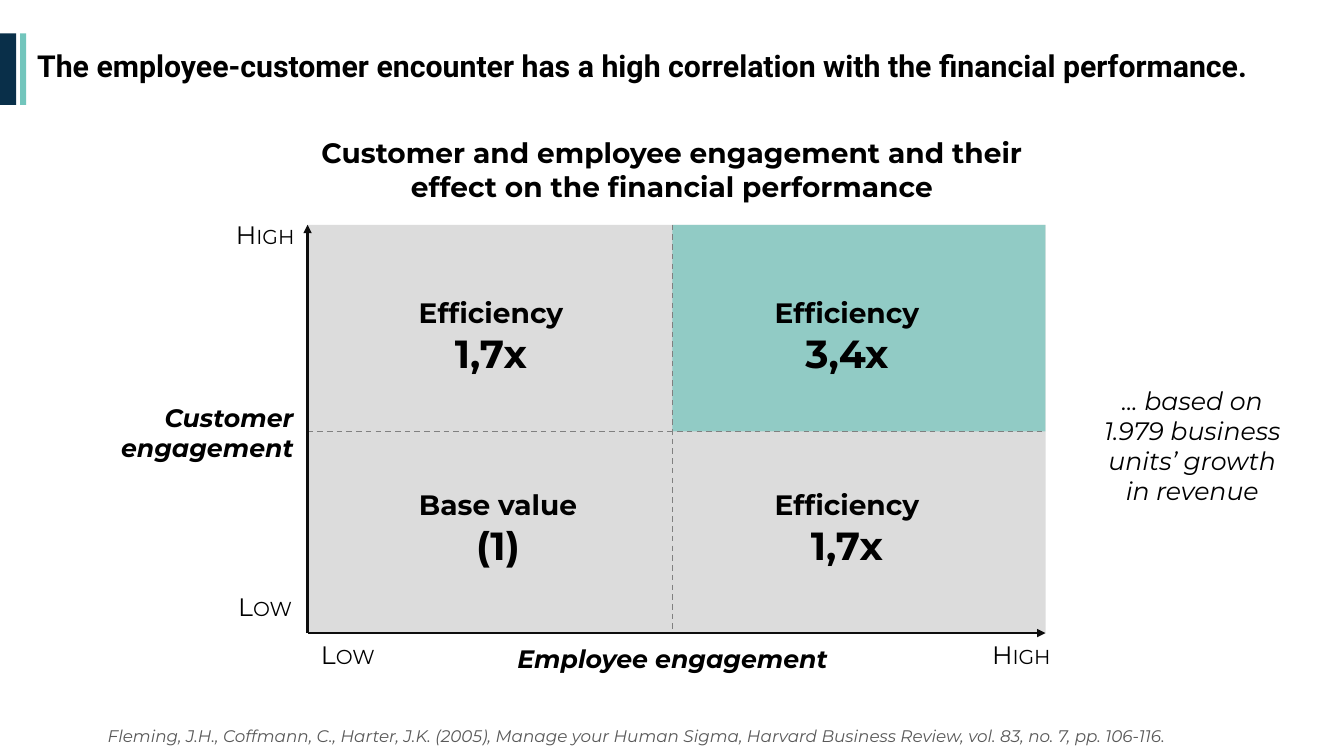
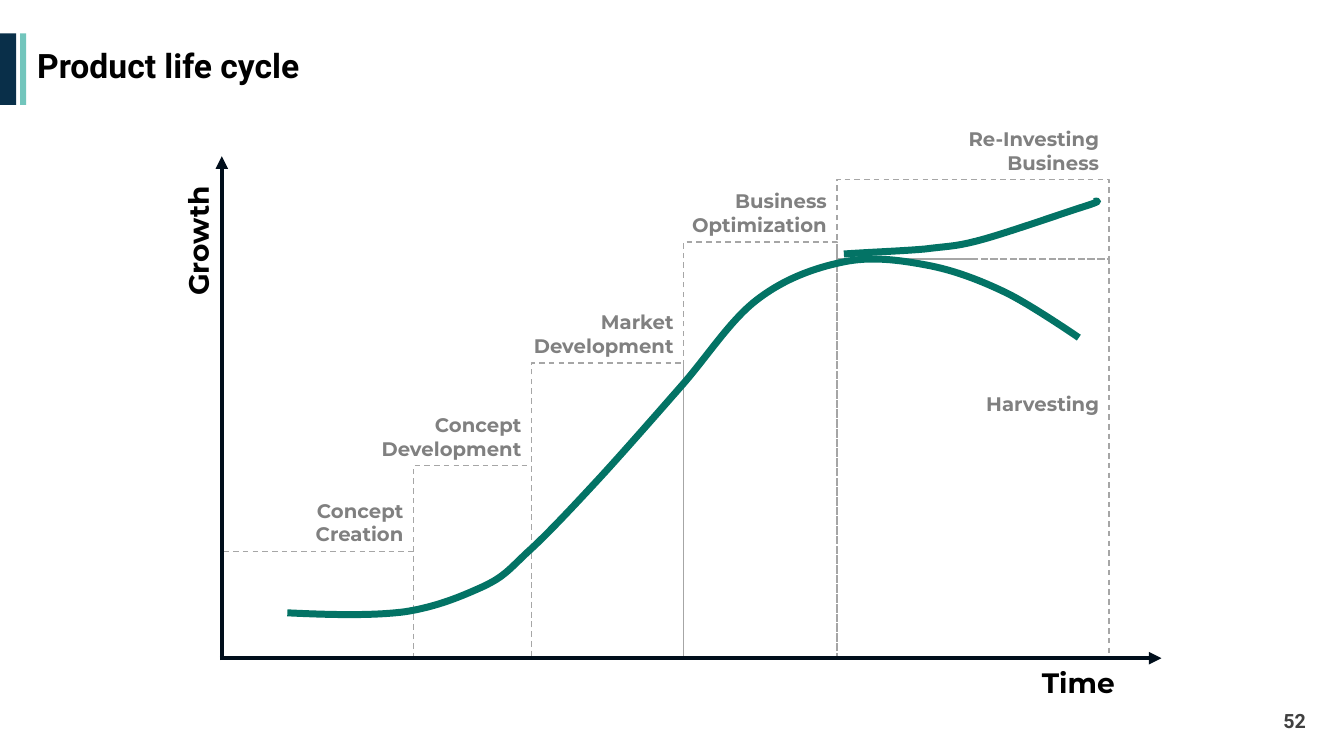
from dataclasses import dataclass
from typing import NamedTuple, Optional

import lxml.etree
import pptx
import pptx.dml.color
import pptx.enum.dml
import pptx.enum.shapes
import pptx.enum.text
import pptx.oxml.ns
import pptx.util

Inches = pptx.util.Inches
Pt = pptx.util.Pt
qn = pptx.oxml.ns.qn
Align = pptx.enum.text.PP_ALIGN
Anchor = pptx.enum.text.MSO_ANCHOR


@dataclass(frozen=True)
class Theme:
    heading_font: str = "Roboto"
    body_font: str = "Montserrat"
    black: str = "000000"
    navy: str = "092F49"
    teal: str = "72C5BC"
    plot_gray: str = "DCDCDC"
    divider: str = "808080"
    matrix_axis: str = "0D0D0D"
    cycle_axis: str = "000E1B"
    phase_line: str = "A6A6A6"
    phase_text: str = "808080"
    curve: str = "037365"
    source: str = "595959"
    page_number: str = "404040"
    title_size: float = 24
    long_title_size: float = 21.6
    figure_size: float = 28
    heading_size: float = 20
    label_size: float = 18
    small_size: float = 14
    source_size: float = 12


THEME = Theme()


class Box(NamedTuple):
    left: float
    top: float
    width: float
    height: float

    def lengths(self) -> list:
        return [Inches(value) for value in self]


class Point(NamedTuple):
    x: float
    y: float


@dataclass(frozen=True)
class Style:
    size: float
    color: str = THEME.black
    font: str = THEME.body_font
    bold: bool = False
    italic: bool = False
    small_caps: bool = False


@dataclass(frozen=True)
class Stroke:
    color: str
    width: float
    dashed: bool = False
    arrow: bool = False


class Label(NamedTuple):
    text: str
    box: Box
    style: Style
    align: Align = Align.CENTER


class Quadrant(NamedTuple):
    caption: str
    figure: str
    left: float
    top: float


class Phase(NamedTuple):
    lines: tuple
    left: float
    right: float
    top: float
    bottom: float


HEADING = Style(THEME.heading_size, bold=True)
FIGURE = Style(THEME.figure_size, bold=True)
AXIS_END = Style(THEME.label_size, small_caps=True)
AXIS_NAME = Style(THEME.label_size, bold=True, italic=True)
REMARK = Style(THEME.label_size, italic=True)
SOURCE = Style(THEME.source_size, THEME.source, italic=True)
PHASE = Style(THEME.small_size, THEME.phase_text, bold=True)
PAGE_NUMBER = Style(THEME.small_size, THEME.page_number, THEME.heading_font, bold=True)


def rgb(color: str) -> pptx.dml.color.RGBColor:
    return pptx.dml.color.RGBColor.from_string(color)


def apply_stroke(line, stroke: Stroke) -> None:
    line.color.rgb = rgb(stroke.color)
    line.width = Pt(stroke.width)
    if stroke.dashed:
        line.dash_style = pptx.enum.dml.MSO_LINE.DASH


def add_rect(slide, box: Box, fill: Optional[str] = None,
             stroke: Optional[Stroke] = None, opacity: int = 100):
    rect = slide.shapes.add_shape(pptx.enum.shapes.MSO_SHAPE.RECTANGLE, *box.lengths())
    rect.shadow.inherit = False
    if fill:
        rect.fill.solid()
        rect.fill.fore_color.rgb = rgb(fill)
        if opacity < 100:
            tint = rect._element.spPr.find(".//" + qn("a:srgbClr"))
            lxml.etree.SubElement(tint, qn("a:alpha"), val=str(opacity * 1000))
    else:
        rect.fill.background()
    if stroke:
        apply_stroke(rect.line, stroke)
    else:
        rect.line.fill.background()
    return rect


def add_text(slide, box: Box, lines: list, align: Align = Align.CENTER,
             anchor: Anchor = Anchor.TOP):
    holder = slide.shapes.add_textbox(*box.lengths())
    frame = holder.text_frame
    frame.word_wrap = True
    frame.vertical_anchor = anchor
    for index, (text, style) in enumerate(lines):
        paragraph = frame.add_paragraph() if index else frame.paragraphs[0]
        paragraph.alignment = align
        run = paragraph.add_run()
        run.text = text
        font = run.font
        font.name = style.font
        font.size = Pt(style.size)
        font.bold = style.bold
        font.italic = style.italic
        font.color.rgb = rgb(style.color)
        if style.small_caps:
            run._r.get_or_add_rPr().set("cap", "small")
    return holder


def add_line(slide, start: Point, end: Point, stroke: Stroke) -> None:
    connector = slide.shapes.add_connector(
        pptx.enum.shapes.MSO_CONNECTOR.STRAIGHT,
        *[Inches(value) for value in (*start, *end)])
    apply_stroke(connector.line, stroke)
    properties = connector._element.spPr
    if stroke.arrow:
        lxml.etree.SubElement(properties.find(qn("a:ln")), qn("a:tailEnd"), type="triangle")
    lxml.etree.SubElement(properties, qn("a:effectLst"))


def add_curve(slide, points: list, stroke: Stroke) -> None:
    start, *controls = [(Inches(x), Inches(y)) for x, y in points]
    builder = slide.shapes.build_freeform(*start)
    builder.add_line_segments(controls, close=False)
    curve = builder.convert_to_shape()
    curve.shadow.inherit = False
    curve.fill.background()
    apply_stroke(curve.line, stroke)
    outline = curve._element.spPr.find(".//" + qn("a:path"))
    legs = outline.findall(qn("a:lnTo"))
    for first in range(0, len(legs), 3):
        bezier = lxml.etree.SubElement(outline, qn("a:cubicBezTo"))
        for leg in legs[first:first + 3]:
            bezier.append(leg[0])
            outline.remove(leg)


def add_titled_slide(deck, title: str, size: float):
    slide = deck.slides.add_slide(deck.slide_layouts[6])
    add_rect(slide, Box(0, 0.33, 0.16, 0.71), THEME.navy)
    add_rect(slide, Box(0.2, 0.33, 0.06, 0.71), THEME.teal)
    style = Style(size, font=THEME.heading_font, bold=True)
    heading = add_text(slide, Box(0.27, 0.32, 12.77, 0.71), [(title, style)],
                       Align.LEFT, Anchor.MIDDLE)
    heading.text_frame.paragraphs[0].line_spacing = 0.9
    return slide


def build_engagement_matrix(deck) -> None:
    slide = add_titled_slide(
        deck,
        "The employee-customer encounter has a high correlation with the financial performance.",
        THEME.long_title_size)
    left, top, right, bottom = 3.05, 2.23, 10.37, 6.28
    split = Point(6.67, 4.28)
    add_rect(slide, Box(left, top, right - left, bottom - top), THEME.plot_gray)
    add_rect(slide, Box(split.x, top, right - split.x, split.y - top), THEME.teal, opacity=70)

    labels = [
        Label("High", Box(2.08, 2.13, 1.1, 0.4), AXIS_END),
        Label("High", Box(9.58, 6.29, 1.1, 0.4), AXIS_END),
        Label("Low", Box(2.08, 5.82, 1.1, 0.4), AXIS_END),
        Label("Low", Box(2.9, 6.29, 1.1, 0.4), AXIS_END),
        Label("Customer engagement", Box(0.44, 3.94, 2.57, 0.71), AXIS_NAME, Align.RIGHT),
        Label("Employee engagement", Box(4.94, 6.33, 3.46, 0.4), AXIS_NAME),
        Label("Customer and employee engagement and their effect on the financial performance",
              Box(3.03, 1.3, 7.27, 0.77), HEADING),
        Label("Fleming, J.H., Coffmann, C., Harter, J.K. (2005), Manage your Human Sigma, "
              "Harvard Business Review, vol. 83, no. 7, pp. 106-116.",
              Box(0.97, 7.15, 10.7, 0.3), SOURCE, Align.LEFT),
        Label("... based on 1.979 business units’ growth in revenue",
              Box(10.78, 3.77, 2.09, 1.31), REMARK),
    ]
    for label in labels:
        add_text(slide, label.box, [(label.text, label.style)], label.align)

    quadrants = [
        Quadrant("Efficiency", "1,7x", 3.82, 2.88),
        Quadrant("Efficiency", "3,4x", 7.35, 2.88),
        Quadrant("Base value", "(1)", 3.89, 4.79),
        Quadrant("Efficiency", "1,7x", 7.35, 4.79),
    ]
    for quadrant in quadrants:
        add_text(slide, Box(quadrant.left, quadrant.top, 2.1, 0.91),
                 [(quadrant.caption, HEADING), (quadrant.figure, FIGURE)])

    divider = Stroke(THEME.divider, 1, dashed=True)
    axis = Stroke(THEME.matrix_axis, 2, arrow=True)
    origin = Point(left, bottom)
    add_line(slide, Point(left, split.y), Point(right, split.y), divider)
    add_line(slide, Point(split.x, top), Point(split.x, bottom), divider)
    add_line(slide, origin, Point(right, bottom), axis)
    add_line(slide, origin, Point(left, top), axis)


def build_life_cycle(deck) -> None:
    slide = add_titled_slide(deck, "Product life cycle", THEME.title_size)
    baseline, branch = 6.53, 2.57
    phases = [
        Phase(("Concept", "Development"), 4.1, 5.27, 4.62, baseline),
        Phase(("Market", "Development"), 5.27, 6.78, 3.6, baseline),
        Phase(("Business", "Optimization"), 6.78, 8.3, 2.4, baseline),
        Phase((), 8.3, 11, branch, baseline),
        Phase(("Re-Investing", "Business"), 8.3, 11, 1.78, branch),
        Phase(("Concept Creation",), 2.2, 4.1, 5.47, baseline),
    ]
    border = Stroke(THEME.phase_line, 1, dashed=True)
    for phase in phases:
        add_rect(slide, Box(phase.left, phase.top, phase.right - phase.left,
                            phase.bottom - phase.top), stroke=border)

    axis = Stroke(THEME.cycle_axis, 3, arrow=True)
    add_line(slide, Point(2.18, baseline), Point(11.52, baseline), axis)
    add_line(slide, Point(2.2, 6.55), Point(2.2, 1.55), axis)
    growth = add_text(slide, Box(1, 2.17, 1.93, 0.44), [("Growth", HEADING)])
    growth.rotation = 270
    add_text(slide, Box(9.73, 6.55, 1.93, 0.44), [("Time", HEADING)])

    life_cycle = [
        (2.85, 6.08), (3.27, 6.1), (3.69, 6.11), (4.01, 6.07),
        (4.34, 6.02), (4.59, 5.91), (4.79, 5.82), (5, 5.72), (5.04, 5.66), (5.23, 5.48),
        (5.42, 5.31), (5.69, 5.02), (5.94, 4.75), (6.19, 4.48), (6.74, 3.85), (6.74, 3.85),
        (7, 3.56), (7.23, 3.19), (7.5, 2.98), (7.77, 2.77), (8.07, 2.66), (8.36, 2.6),
        (8.64, 2.54), (8.92, 2.58), (9.19, 2.63), (9.46, 2.68), (9.72, 2.78), (9.97, 2.9),
        (10.22, 3.02), (10.7, 3.35), (10.7, 3.35),
    ]
    reinvestment = [
        (8.37, 2.52), (8.66, 2.5), (8.96, 2.49), (9.18, 2.47),
        (9.41, 2.44), (9.47, 2.45), (9.73, 2.38), (9.99, 2.31), (10.56, 2.11), (10.75, 2.05),
        (10.94, 1.99), (10.89, 1.99), (10.85, 2),
    ]
    for course in (life_cycle, reinvestment):
        add_curve(slide, course, Stroke(THEME.curve, 5))

    width, height = 1.59, 0.57
    for phase in phases:
        if phase.lines:
            add_text(slide, Box(phase.right - width, phase.top - height, width, height),
                     [(line, PHASE) for line in phase.lines], Align.RIGHT)
    add_text(slide, Box(9.61, 3.84, 1.39, 0.34), [("Harvesting", PHASE)], Align.RIGHT)
    add_text(slide, Box(10.05, 6.95, 3, 0.4), [("52", PAGE_NUMBER)],
             Align.RIGHT, Anchor.MIDDLE)


def main() -> None:
    deck = pptx.Presentation()
    deck.slide_width = Inches(13.33)
    deck.slide_height = Inches(7.5)
    build_engagement_matrix(deck)
    build_life_cycle(deck)
    deck.save("out.pptx")


if __name__ == "__main__":
    main()
